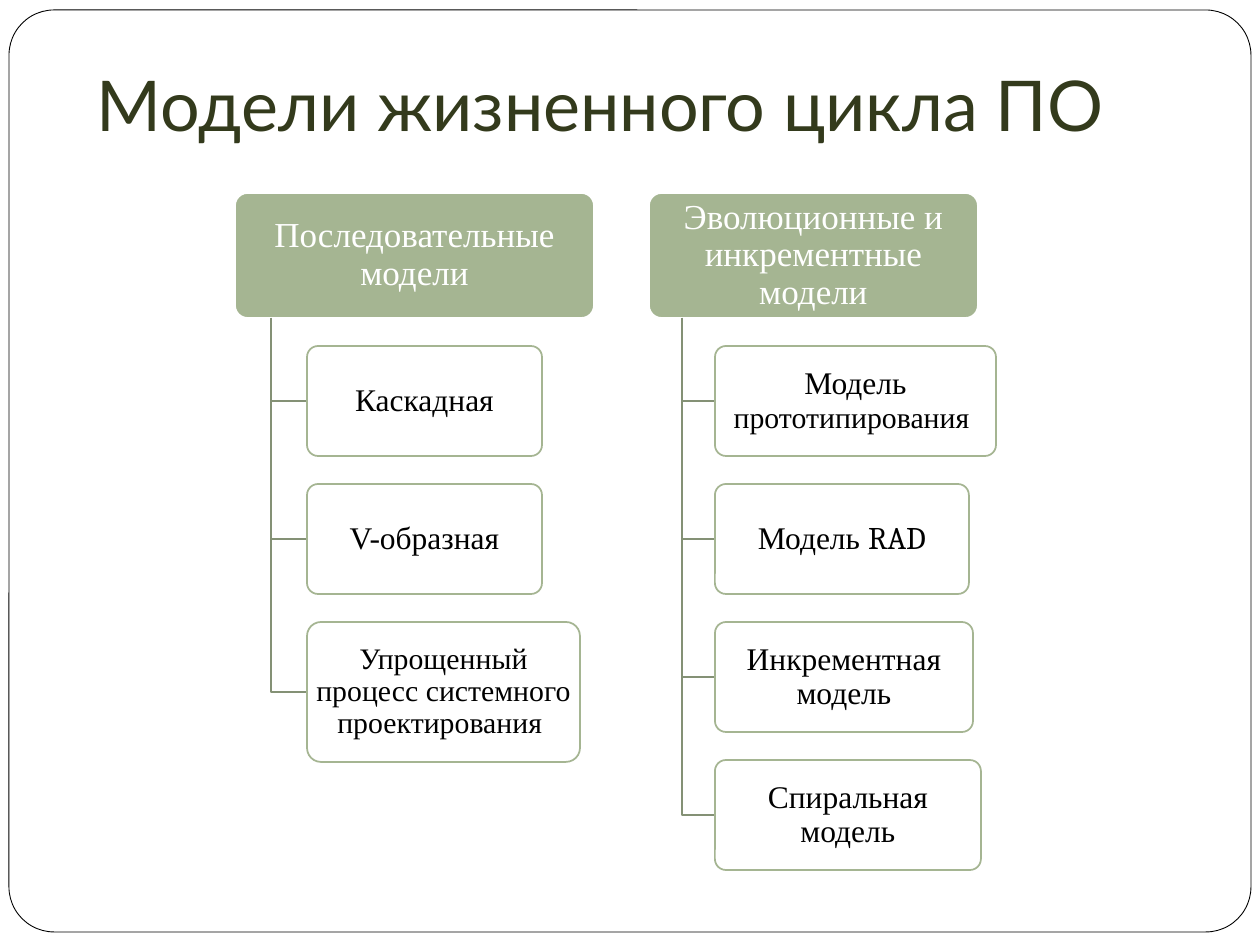
from lxml.etree import SubElement
from pptx import Presentation
from pptx.dml.color import RGBColor
from pptx.enum.shapes import MSO_SHAPE
from pptx.enum.text import MSO_ANCHOR, MSO_AUTO_SIZE, PP_ALIGN
from pptx.oxml.ns import qn
from pptx.util import Emu, Pt

PIXEL = 914400 / 126

WHITE = RGBColor(0xFF, 0xFF, 0xFF)
BLACK = RGBColor(0x00, 0x00, 0x00)
GREEN = RGBColor(0xA5, 0xB5, 0x92)
BRANCH_GREEN = RGBColor(0x84, 0x91, 0x75)
TITLE_OLIVE = RGBColor(0x33, 0x3A, 0x1C)

TITLE_FONT = "Lato"
BODY_FONT = "Times New Roman"

HEADER_TOP, HEADER_HEIGHT = 193, 125
GAP, MODEL_HEIGHT = 28, 110

# Groups: left, width, header, models. A model: width, height, runs of (text, size, font).
GROUPS = [
    (235, 359, "Последовательные модели", [
        (235, MODEL_HEIGHT, [("Каскадная", 18, BODY_FONT)]),
        (235, MODEL_HEIGHT, [("V-образная", 18, BODY_FONT)]),
        (273, 140, [("Упрощенный процесс системного проектирования ", 17, BODY_FONT)]),
    ]),
    (649, 329, "Эволюционные и инкрементные модели", [
        (281, MODEL_HEIGHT, [("Модель ", 18, BODY_FONT),
                             ("прототипирования", 17, BODY_FONT),
                             (" ", 18, BODY_FONT)]),
        (254, MODEL_HEIGHT, [("Модель ", 18, BODY_FONT), ("RAD", 18, "Cambria")]),
        (258, MODEL_HEIGHT, [("Инкрементная модель", 18, BODY_FONT)]),
        (266, MODEL_HEIGHT, [("Спиральная модель", 18, BODY_FONT)]),
    ]),
]


def px(length):
    return Emu(round(length * PIXEL))


def add_span(para, text, size, font, color):
    span = para.add_run()
    span.text = text
    span.font.size = Pt(size)
    span.font.name = font
    span.font.color.rgb = color


def add_round_box(page, bounds, corner, fill, line, line_width):
    box = page.shapes.add_shape(MSO_SHAPE.ROUNDED_RECTANGLE, *map(px, bounds))
    box.adjustments[0] = corner
    box.shadow.inherit = False
    box.fill.solid()
    box.fill.fore_color.rgb = fill
    box.line.color.rgb = line
    box.line.width = Pt(line_width)
    return box


def add_label(box, runs, color):
    frame = box.text_frame
    frame.word_wrap = True
    frame.vertical_anchor = MSO_ANCHOR.MIDDLE
    frame.margin_left = frame.margin_right = px(5)
    frame.margin_top = frame.margin_bottom = px(4)
    para = frame.paragraphs[0]
    para.alignment = PP_ALIGN.CENTER
    para.line_spacing = 0.9
    for text, size, font in runs:
        add_span(para, text, size, font, color)


def set_fill_opacity(box, percent):
    color = box.element.spPr.find(qn("a:solidFill")).find(qn("a:srgbClr"))
    SubElement(color, qn("a:alpha"), val=str(percent * 1000))


def add_branch(page, trunk, top, middle, end):
    """Draw the elbow from a header down and across to a model."""
    builder = page.shapes.build_freeform(px(trunk), px(top))
    builder.add_line_segments(
        [(px(trunk), px(middle)), (px(end), px(middle))], close=False)
    branch = builder.convert_to_shape()
    branch.shadow.inherit = False
    branch.fill.background()
    branch.line.color.rgb = BRANCH_GREEN
    branch.line.width = Pt(1)


def add_group(page, left, width, header_text, models):
    header = add_round_box(page, (left, HEADER_TOP, width, HEADER_HEIGHT),
                           0.1, GREEN, WHITE, 1)
    add_label(header, [(header_text, 20, BODY_FONT)], WHITE)
    header_bottom = HEADER_TOP + HEADER_HEIGHT
    indent = round(width / 10)
    model_left = left + 2 * indent
    top = header_bottom + GAP
    for model_width, height, runs in models:
        add_branch(page, left + indent, header_bottom, top + height // 2, model_left)
        model = add_round_box(page, (model_left, top, model_width, height),
                              0.1, WHITE, GREEN, 1)
        set_fill_opacity(model, 90)
        add_label(model, runs, BLACK)
        top += height + GAP


def fill_title(page, text):
    title = page.shapes.title
    title.left, title.top, title.width, title.height = map(px, (84, 55, 1052, 97))
    frame = title.text_frame
    frame.word_wrap = True
    frame.auto_size = MSO_AUTO_SIZE.NONE
    frame.vertical_anchor = MSO_ANCHOR.TOP
    para = frame.paragraphs[0]
    para.alignment = PP_ALIGN.LEFT
    add_span(para, text, 40, TITLE_FONT, TITLE_OLIVE)


def add_page_border(page):
    """Add the rounded page border behind the title."""
    border = add_round_box(page, (9, 10, 1242, 922), 0.049, WHITE, BLACK, 0.5)
    page.shapes.title.element.addprevious(border.element)


def main():
    deck = Presentation()
    deck.slide_width, deck.slide_height = px(1260), px(945)
    page = deck.slides.add_slide(deck.slide_layouts[5])
    add_page_border(page)
    fill_title(page, "Модели жизненного цикла ПО")
    for group in GROUPS:
        add_group(page, *group)
    deck.save("out.pptx")


if __name__ == "__main__":
    main()
